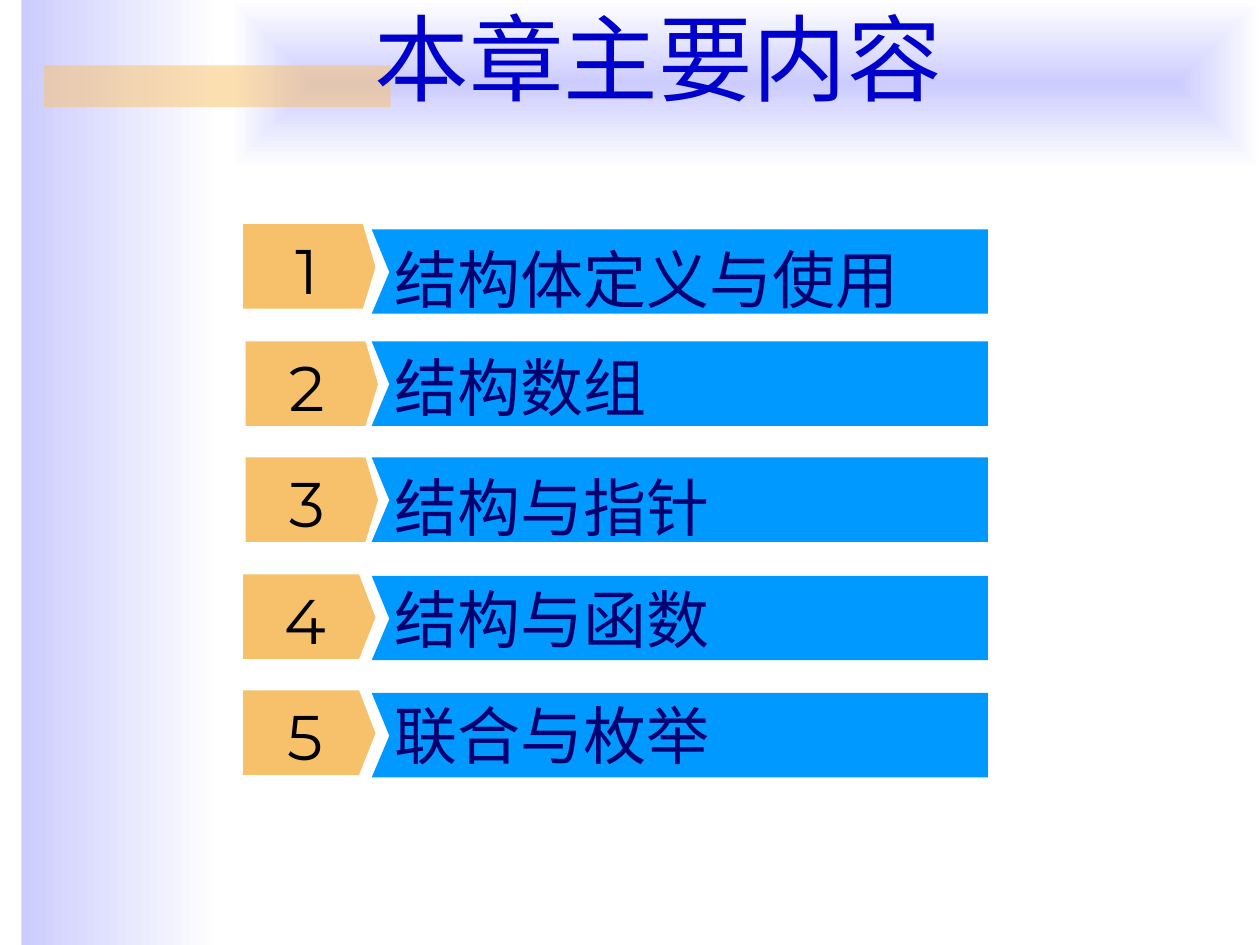
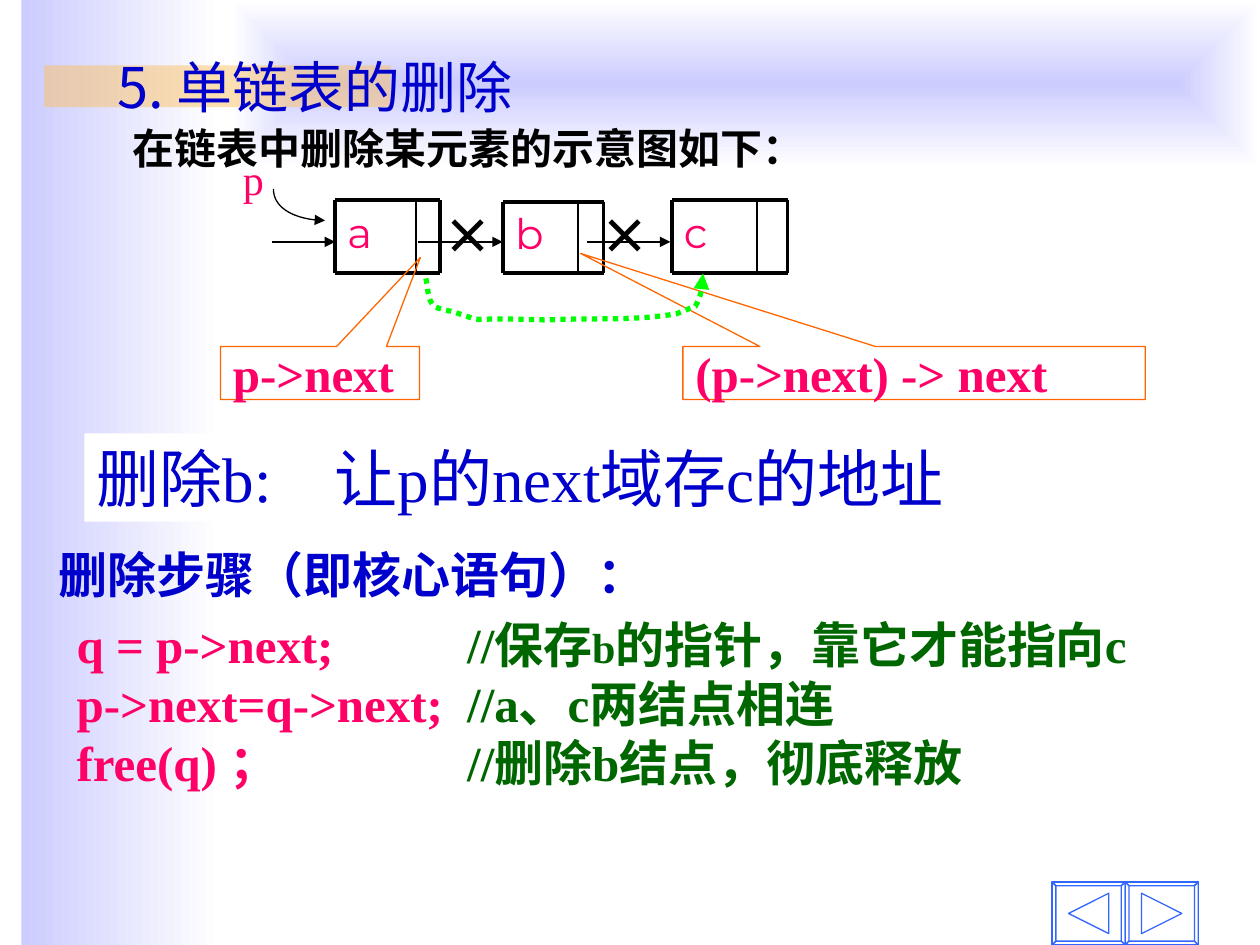
from lxml import etree
from pptx import Presentation
from pptx.dml.color import RGBColor
from pptx.enum import dml, shapes, text
from pptx.oxml import ns
from pptx.util import Inches, Pt

COLORS = {
    "lavender": "CCCCFF", "white": "FFFFFF", "peach": "FAC164",
    "bar": "0099FF", "tag": "F6C16A", "label": "000070",
    "title": "0000CC", "black": "000000", "code": "FF0066",
    "comment": "006600", "callout": "FF6600", "button": "3366FF",
    "new_link": "00FF00",
}
HAN, SERIF, ROUND = "Noto Sans CJK SC", "Times New Roman", "Montserrat"

# text, tag left, tag shoulder, tag top, bar top, text top
CHAPTERS = [
    ("结构体定义与使用", 1.93, 0.95, 1.78, 1.82, 1.86),
    ("结构数组", 1.95, 0.95, 2.71, 2.71, 2.72),
    ("结构与指针", 1.95, 0.95, 3.63, 3.63, 3.67),
    ("结构与函数", 1.93, 0.92, 4.56, 4.57, 4.56),
    ("联合与枚举", 1.93, 0.92, 5.48, 5.5, 5.48),
]

# letter, left, top, divider, right
NODES = [
    ("a", 2.66, 1.59, 3.3, 3.49),
    ("b", 3.99, 1.6, 4.59, 4.79),
    ("c", 5.33, 1.59, 6.01, 6.25),
]
NODE_BOTTOM = 2.17
LINKS = [(2.16, 2.66), (3.32, 3.99), (4.66, 5.32)]

STEPS = [
    ("q = p->next;", [("//", SERIF, 28), ("保存", HAN, 28), ("b", SERIF, 24),
                      ("的指针，靠它才能指向c", SERIF, 28)]),
    ("p->next=q->next;", [("//a、c两结点相连", SERIF, 28)]),
    ("free(q) ；", [("//删除b结点，彻底释放", SERIF, 28)]),
]


def rgb(color):
    return RGBColor.from_string(COLORS[color])


def add_xml(parent, tag, **attributes):
    return etree.SubElement(parent, ns.qn(tag), attributes)


def style_font(font, name, size, color, bold=False):
    font.name, font.size, font.bold = name, Pt(size), bold
    font.color.rgb = rgb(color)


def style_shape(shape, fill=None, line=None, width=0.75):
    shape.shadow.inherit = False
    if fill:
        shape.fill.solid()
        shape.fill.fore_color.rgb = rgb(fill)
    else:
        shape.fill.background()
    if line:
        shape.line.color.rgb = rgb(line)
        shape.line.width = Pt(width)
    else:
        shape.line.fill.background()


def add_arrowhead(line):
    add_xml(line.get_or_add_ln(), "a:tailEnd", type="triangle")


def add_tab_stop(paragraph, position):
    tabs = add_xml(paragraph._p.get_or_add_pPr(), "a:tabLst")
    add_xml(tabs, "a:tab", pos=str(Inches(position)), algn="l")


def write(shape, words, font, size, color, bold=False, tab=None,
          align=text.PP_ALIGN.LEFT):
    shape.text_frame.word_wrap = True
    paragraph = shape.text_frame.paragraphs[0]
    paragraph.text = words
    paragraph.alignment = align
    if tab:
        add_tab_stop(paragraph, tab)
    style_font(paragraph.font, font, size, color, bold)


def add_text(slide, box, *style, **options):
    label = slide.shapes.add_textbox(*map(Inches, box))
    write(label, *style, **options)
    return label


def add_rect(slide, box, preset=shapes.MSO_SHAPE.RECTANGLE, **style):
    rect = slide.shapes.add_shape(preset, *map(Inches, box))
    style_shape(rect, **style)
    return rect


def add_outline(slide, contours, close=True, **style):
    builder = None
    for contour in contours:
        start, *rest = [(Inches(x), Inches(y)) for x, y in contour]
        if builder:
            builder.move_to(*start)
        else:
            builder = slide.shapes.build_freeform(*start)
        builder.add_line_segments(rest, close=close)
    outline = builder.convert_to_shape()
    style_shape(outline, **style)
    return outline


def add_curved_arrow(slide, points, **style):
    """Draw a start point followed by Bezier triples, with an arrowhead."""
    curve = add_outline(slide, [points], close=False, **style)
    route = next(curve.element.iter(ns.qn("a:path")))
    segments = route.findall(ns.qn("a:lnTo"))
    for i in range(0, len(segments), 3):
        bezier = add_xml(route, "a:cubicBezTo")
        for segment in segments[i:i + 3]:
            bezier.append(segment[0])
            route.remove(segment)
    return curve


def add_line(slide, start, end, width):
    line = slide.shapes.add_connector(
        shapes.MSO_CONNECTOR.STRAIGHT, *map(Inches, start + end))
    line.line.color.rgb = rgb("black")
    line.line.width = Pt(width)
    add_xml(line.element.spPr, "a:effectLst")
    return line


def add_gradient_band(slide, box):
    band = add_rect(slide, box)
    band.fill.gradient()
    band.fill.gradient_angle = 0
    for stop, color in zip(band.fill.gradient_stops, ("lavender", "white")):
        stop.color.rgb = rgb(color)
    return band


def move_backdrop_to_layout(slide):
    """Draw the shared bands and hand them to the slide's layout."""
    side = add_gradient_band(slide, (0.17, 0, 1.58, 7.5))
    head = add_gradient_band(slide, (1.83, 0, 8.17, 1.33))
    linear = next(head.element.iter(ns.qn("a:lin")))
    radial = etree.Element(ns.qn("a:path"), path="rect")
    add_xml(radial, "a:fillToRect", l="50000", t="50000", r="50000", b="50000")
    linear.getparent().replace(linear, radial)
    strip = add_rect(slide, (0.35, 0.52, 2.75, 0.33), fill="peach")
    add_xml(next(strip.element.iter(ns.qn("a:srgbClr"))), "a:alpha", val="50000")
    for number, band in enumerate((side, head, strip), 20):
        next(band.element.iter(ns.qn("p:cNvPr"))).set("id", str(number))
        slide.slide_layout.shapes.element.append(band.element)


def set_title(slide, box, words, size, align):
    title = slide.shapes.title
    title.left, title.top, title.width, title.height = map(Inches, box)
    title.text_frame.auto_size = text.MSO_AUTO_SIZE.NONE
    title.text_frame.vertical_anchor = text.MSO_ANCHOR.BOTTOM
    write(title, words, HAN, size, "title", align=align)


def add_chapter(slide, number, words, left, shoulder, top, bar_top, text_top):
    height, middle = 0.67, 0.34
    add_outline(slide, [[
        (2.95, bar_top), (3.09, bar_top + middle), (2.95, bar_top + height),
        (7.84, bar_top + height), (7.84, bar_top)]], fill="bar")
    add_outline(slide, [[
        (left, top), (left + shoulder, top), (left + 1.05, top + middle),
        (left + shoulder, top + height), (left, top + height)]], fill="tag")
    digit = add_text(slide, (2.02, top + 0.02, shoulder - 0.12, height),
                     str(number), ROUND, 36, "black",
                     align=text.PP_ALIGN.CENTER)
    frame = digit.text_frame
    frame.vertical_anchor = text.MSO_ANCHOR.MIDDLE
    frame.margin_left = frame.margin_right = 0
    frame.margin_top = frame.margin_bottom = 0
    add_text(slide, (3.03, text_top, 4.73, 0.7), words, SERIF, 36, "label")


def add_node(slide, letter, left, top, divider, right):
    add_text(slide, (left, top, divider - left, 0.57), letter, ROUND, 24, "code")
    for y in (top, NODE_BOTTOM):
        add_line(slide, (left, y), (right, y), 2.25)
    for x, width in ((left, 2.25), (divider, 1), (right, 2.25)):
        add_line(slide, (x, top), (x, NODE_BOTTOM), width)


def add_callout(slide, box, words, tip):
    callout = add_rect(slide, box, shapes.MSO_SHAPE.RECTANGULAR_CALLOUT,
                       line="callout")
    callout.adjustments[0], callout.adjustments[1] = tip
    callout.text_frame.vertical_anchor = text.MSO_ANCHOR.MIDDLE
    write(callout, words, SERIF, 28, "code", bold=True)


def add_page_button(slide, back, direction):
    """Draw a bevelled button from its back edge towards its direction."""
    def place(*points):
        return [(back + direction * x, y) for x, y in points]

    outer = [(0, 7), (0.58, 7), (0.58, 7.5), (0, 7.5)]
    inner = [(0.03, 7.03), (0.55, 7.03), (0.55, 7.47), (0.03, 7.47)]
    bevels = [place(outer[i], outer[(i + 1) % 4], inner[(i + 1) % 4], inner[i])
              for i in range(4)]
    arrow = place((0.13, 7.09), (0.45, 7.25), (0.13, 7.41))
    add_outline(slide, [place(*outer), *bevels, arrow], line="button")


def add_steps(slide):
    frame = slide.shapes.add_textbox(
        *map(Inches, (0.51, 4.83, 9, 1.97))).text_frame
    frame.word_wrap = True
    for i, (code, comment) in enumerate(STEPS):
        paragraph = frame.add_paragraph() if i else frame.paragraphs[0]
        add_tab_stop(paragraph, 3.1)
        pieces = [(code + "\t", SERIF, 28, "code")]
        pieces += [(*piece, "comment") for piece in comment]
        for words, *style in pieces:
            run = paragraph.add_run()
            run.text = words
            style_font(run.font, *style, bold=True)


def set_chinese_font(slide):
    for latin in list(slide.element.iter(ns.qn("a:latin"))):
        latin.addnext(etree.Element(ns.qn("a:ea"), typeface=HAN))


def build_contents(slide):
    set_title(slide, (1.23, 0.23, 7.99, 0.72), "本章主要内容", 54,
              text.PP_ALIGN.CENTER)
    for number, chapter in enumerate(CHAPTERS, 1):
        add_chapter(slide, number, *chapter)


def build_deletion(slide):
    set_title(slide, (0.83, 0.4, 5.75, 0.6), "5. 单链表的删除", 32,
              text.PP_ALIGN.LEFT)
    add_text(slide, (0.95, 0.92, 5.8, 0.5), "在链表中删除某元素的示意图如下：",
             HAN, 24, "black", bold=True)
    for node in NODES:
        add_node(slide, *node)
    for start, end in LINKS:
        add_arrowhead(add_line(slide, (start, 1.92), (end, 1.92), 0.75))
    add_text(slide, (1.83, 1.17, 0.39, 0.5), "p", SERIF, 24, "code")
    pointer = add_curved_arrow(
        slide, [(2.17, 1.5), (2.17, 1.64), (2.35, 1.75), (2.58, 1.75)],
        line="black")
    add_arrowhead(pointer)
    add_text(slide, (0.37, 4.27, 5.2, 0.57), "删除步骤（即核心语句）：",
             HAN, 28, "title", bold=True)
    add_steps(slide)
    add_callout(slide, (1.75, 2.75, 1.58, 0.42), "p->next", (0.504, -2.183))
    add_callout(slide, (5.42, 2.75, 3.67, 0.42), "(p->next) -> next",
                (-0.721, -2.258))
    new_link = add_curved_arrow(slide, [
        (3.38, 2.21), (3.4, 2.28), (3.39, 2.39), (3.45, 2.43),
        (3.47, 2.45), (3.57, 2.47), (3.58, 2.47),
        (3.94, 2.58), (3.56, 2.51), (4.34, 2.54),
        (4.68, 2.52), (5.03, 2.55), (5.37, 2.49),
        (5.42, 2.47), (5.52, 2.43), (5.52, 2.43),
        (5.56, 2.35), (5.58, 2.27), (5.58, 2.17)], line="new_link", width=3)
    new_link.line.dash_style = dml.MSO_LINE.ROUND_DOT
    add_arrowhead(new_link)
    for left in (3.42, 4.67):
        add_text(slide, (left, 1.58, 0.5, 0.57), "×", HAN, 28, "black", bold=True)
    for direction in (-1, 1):
        add_page_button(slide, 8.93, direction)
    summary = add_rect(slide, (0.67, 3.44, 8.66, 0.7), fill="white")
    summary.text_frame.vertical_anchor = text.MSO_ANCHOR.TOP
    write(summary, "删除b:\t让p的next域存c的地址", SERIF, 36, "title", tab=1.89)


def main():
    deck = Presentation()
    deck.slide_width, deck.slide_height = Inches(10), Inches(7.5)
    title_only = deck.slide_layouts[5]
    for build in (build_contents, build_deletion):
        slide = deck.slides.add_slide(title_only)
        if len(deck.slides) == 1:
            move_backdrop_to_layout(slide)
        build(slide)
        set_chinese_font(slide)
    deck.save("out.pptx")


if __name__ == "__main__":
    main()
